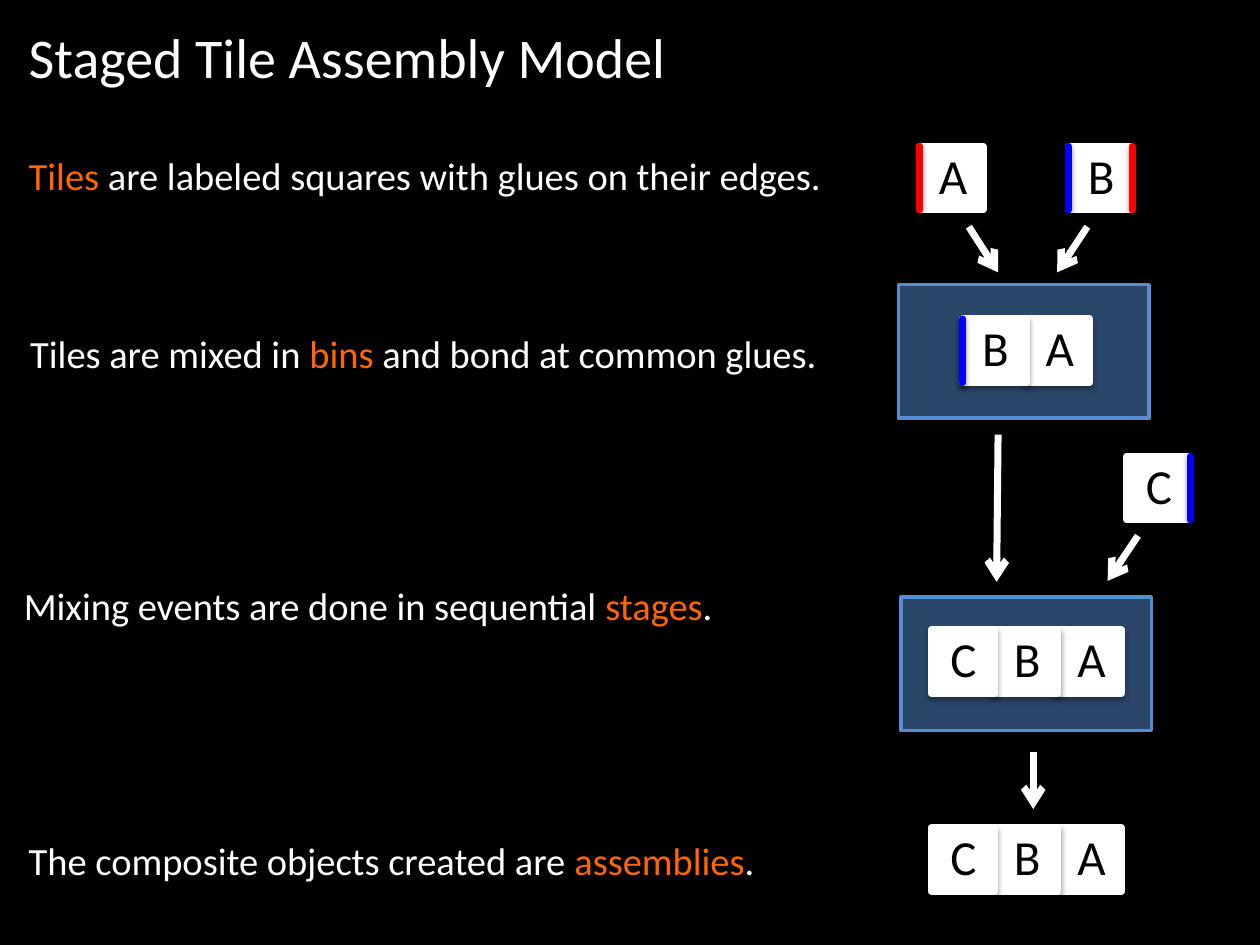
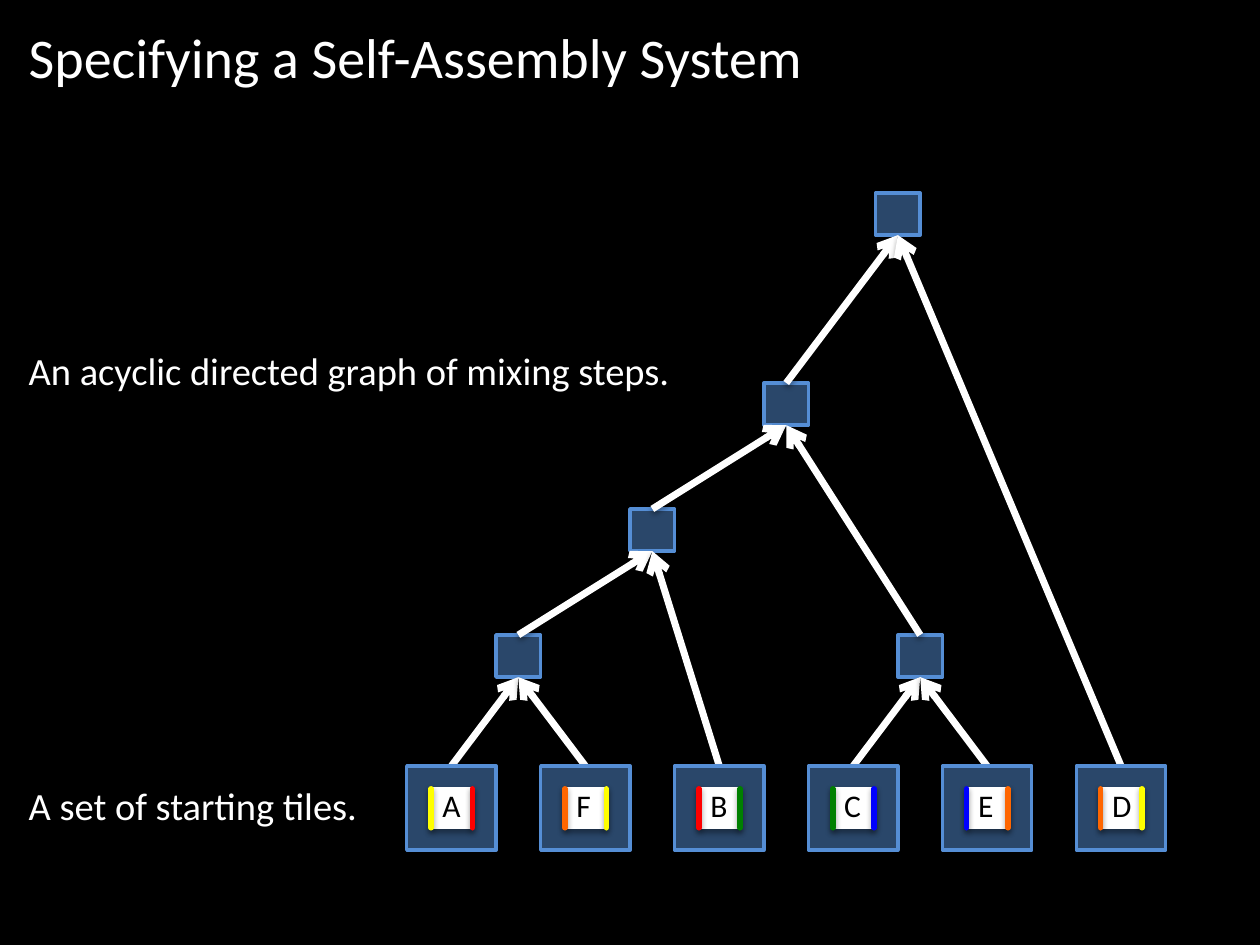
"""Build two slides on the staged tile assembly model."""
import lxml.etree
import pptx
import pptx.dml.color
import pptx.enum.shapes
import pptx.oxml.ns
import pptx.util

Cm = pptx.util.Cm
RGBColor = pptx.dml.color.RGBColor

BLACK = RGBColor(0x00, 0x00, 0x00)
WHITE = RGBColor(0xFF, 0xFF, 0xFF)
ORANGE = RGBColor(0xFF, 0x66, 0x00)
RED = RGBColor(0xFF, 0x00, 0x00)
BLUE = RGBColor(0x00, 0x00, 0xFF)
GREEN = RGBColor(0x00, 0x80, 0x00)
YELLOW = RGBColor(0xFF, 0xFF, 0x00)
BIN_BLUE = RGBColor(0x55, 0x8E, 0xD5)

FONT = "Calibri"
TILE = 1.28
SMALL_TILE = 0.83
BIN_SIZE = (5.05, 2.69)
MIX_SIZE = (0.9, 0.85)
LEAF_SIZE = (1.8, 1.7)
LEAF_LEFT, LEAF_TOP, LEAF_STEP = 8.2, 15.44, 2.7

STATEMENTS = [
    (0.33, 2.95, [("Tiles ", ORANGE), ("are labeled squares with glues on their edges.", WHITE)]),
    (0.36, 6.53, [("Tiles are mixed in ", WHITE), ("bins ", ORANGE),
                  ("and bond at common glues.", WHITE)]),
    (0.23, 11.61, [("Mixing events are done in sequential ", WHITE), ("stages", ORANGE),
                   (".", WHITE)]),
    (0.33, 16.74, [("The composite objects created are ", WHITE), ("assemblies", ORANGE),
                   (".", WHITE)]),
]
STAGE_ARROWS = [
    (19.53, 4.57, 20.12, 5.49),
    (21.92, 4.57, 21.31, 5.49),
    (20.12, 8.76, 20.09, 11.73),
    (22.94, 10.8, 22.33, 11.71),
    (20.83, 15.16, 20.83, 16.31),
]
LEAVES = [
    ("A", YELLOW, RED),
    ("F", ORANGE, YELLOW),
    ("B", RED, GREEN),
    ("C", GREEN, BLUE),
    ("E", BLUE, ORANGE),
    ("D", ORANGE, YELLOW),
]
MIXES = {
    "AF": (10.45, 12.8),
    "CE": (18.55, 12.8),
    "AFB": (13.15, 10.26),
    "AFBCE": (15.85, 7.72),
    "AFBCED": (18.1, 3.89),
}
MIX_STEPS = [
    ("A", "AF"), ("F", "AF"), ("AF", "AFB"), ("B", "AFB"), ("C", "CE"), ("E", "CE"),
    ("AFB", "AFBCE"), ("CE", "AFBCE"), ("AFBCE", "AFBCED"), ("D", "AFBCED"),
]


def add_child(parent, tag, **attributes):
    """Append a DrawingML element to a parent element."""
    return lxml.etree.SubElement(parent, pptx.oxml.ns.qn(tag), attributes)


def add_shadow(item, distance, opacity):
    """Give a shape or connector a soft shadow straight below it."""
    effects = add_child(item._element.spPr, "a:effectLst")
    shadow = add_child(effects, "a:outerShdw", blurRad="40000", dist=str(distance),
                       dir="5400000", rotWithShape="0")
    colour = add_child(shadow, "a:srgbClr", val=str(BLACK))
    add_child(colour, "a:alpha", val=str(opacity * 1000))


def add_text(page, left, top, width, height, spans, size):
    """Add a left-aligned line of text made of coloured spans."""
    box = page.shapes.add_textbox(Cm(left), Cm(top), Cm(width), Cm(height))
    box.text_frame.word_wrap = True
    paragraph = box.text_frame.paragraphs[0]
    paragraph.font.name = FONT
    paragraph.font.size = pptx.util.Pt(size)
    for text, colour in spans:
        span = paragraph.add_run()
        span.text = text
        span.font.color.rgb = colour


def add_statement(page, left, top, spans):
    """Add one explanatory sentence."""
    add_text(page, left, top, 17.4, 1.19, spans, 22)


def add_square(page, left, top, size, fill, line_width):
    """Add a shadowed rectangle whose outline matches its fill."""
    width, height = size
    square = page.shapes.add_shape(pptx.enum.shapes.MSO_SHAPE.RECTANGLE,
                                   Cm(left), Cm(top), Cm(width), Cm(height))
    square.fill.solid()
    square.fill.fore_color.rgb = fill
    square.line.color.rgb = fill
    square.line.width = pptx.util.Pt(line_width)
    add_shadow(square, 23000, 35)
    return square


def add_bin(page, left, top, size):
    """Add a half-transparent mixing bin."""
    mixing_bin = add_square(page, left, top, size, BIN_BLUE, 2)
    fill = mixing_bin._element.spPr.find(pptx.oxml.ns.qn("a:solidFill"))
    add_child(fill[0], "a:alpha", val="50000")


def add_line(page, ends, colour, width):
    """Add a shadowed straight line and return it."""
    line = page.shapes.add_connector(pptx.enum.shapes.MSO_CONNECTOR.STRAIGHT,
                                     *[Cm(end) for end in ends])
    line.line.color.rgb = colour
    line.line.width = pptx.util.Pt(width)
    add_shadow(line, 20000, 38)
    return line


def add_arrow(page, ends):
    """Add a white arrow."""
    arrow = add_line(page, ends, WHITE, 4)
    add_child(arrow.line._get_or_add_ln(), "a:tailEnd", type="arrow")


def add_glue(page, x, top, bottom, colour, width):
    """Add a round-ended glue strip on a tile edge."""
    glue = add_line(page, (x, top, x, bottom), colour, width)
    glue.line._get_or_add_ln().set("cap", "rnd")


def add_tile(page, left, top, letter, left_glue=None, right_glue=None):
    """Add a large labeled tile with optional glues."""
    add_square(page, left, top, (TILE, TILE), WHITE, 4)
    for x, glue in ((left, left_glue), (left + TILE, right_glue)):
        if glue:
            add_glue(page, x, top, top + TILE, glue, 4)
    add_text(page, left + 0.14, top - 0.15, 1.4, 1.45, [(letter, BLACK)], 28)


def add_assembly(page, left, top, letters, left_glue=None):
    """Add bonded tiles, the leftmost one in front."""
    for index in reversed(range(len(letters))):
        add_tile(page, left + index * TILE, top, letters[index],
                 left_glue if index == 0 else None)


def add_leaf(page, left, letter, left_glue, right_glue):
    """Add a bin that holds one small starting tile."""
    add_bin(page, left, LEAF_TOP, LEAF_SIZE)
    tile_left, tile_top = left + 0.49, LEAF_TOP + 0.44
    add_square(page, tile_left, tile_top, (SMALL_TILE, SMALL_TILE), WHITE, 0.75)
    for x, glue in ((tile_left, left_glue), (tile_left + SMALL_TILE, right_glue)):
        add_glue(page, x, tile_top + 0.02, tile_top + 0.81, glue, 3)
    add_text(page, tile_left - 0.02, tile_top - 0.15, 0.97, 1.02, [(letter, BLACK)], 18)


def add_page(deck, title):
    """Add a black slide with its title."""
    page = deck.slides.add_slide(deck.slide_layouts[6])
    page.background.fill.solid()
    page.background.fill.fore_color.rgb = BLACK
    add_text(page, 0.33, 0.33, 22.8, 1.63, [(title, WHITE)], 32)
    return page


def build_model_page(deck):
    """Show tiles, bins, stages and assemblies from top to bottom."""
    page = add_page(deck, "Staged Tile Assembly Model")
    for left, top, spans in STATEMENTS:
        add_statement(page, left, top, spans)
    add_tile(page, 18.54, 2.95, "A", left_glue=RED)
    add_tile(page, 21.54, 2.95, "B", left_glue=BLUE, right_glue=RED)
    add_bin(page, 18.11, 5.74, BIN_SIZE)
    add_assembly(page, 19.41, 6.43, "BA", left_glue=BLUE)
    add_tile(page, 22.71, 9.2, "C", right_glue=BLUE)
    add_bin(page, 18.16, 12.04, BIN_SIZE)
    add_assembly(page, 18.77, 12.7, "CBA")
    add_assembly(page, 18.77, 16.69, "CBA")
    for ends in STAGE_ARROWS:
        add_arrow(page, ends)


def build_graph_page(deck):
    """Show the mixing graph above its starting tiles."""
    page = add_page(deck, "Specifying a Self-Assembly System")
    add_statement(page, 0.33, 6.88, [("An acyclic directed graph of mixing steps.", WHITE)])
    add_statement(page, 0.33, 15.65, [("A set of starting tiles.", WHITE)])
    mix_width, mix_height = MIX_SIZE
    for center, top in MIXES.values():
        add_bin(page, center - mix_width / 2, top, MIX_SIZE)
    tops = dict(MIXES)
    for index, (letter, *_) in enumerate(LEAVES):
        tops[letter] = (LEAF_LEFT + index * LEAF_STEP + LEAF_SIZE[0] / 2, LEAF_TOP)
    for source, target in MIX_STEPS:
        target_x, target_top = tops[target]
        add_arrow(page, (*tops[source], target_x, target_top + mix_height))
    for index, leaf in enumerate(LEAVES):
        add_leaf(page, LEAF_LEFT + index * LEAF_STEP, *leaf)


def main():
    """Build and save the deck."""
    deck = pptx.Presentation()
    deck.slide_width, deck.slide_height = Cm(25.4), Cm(19.05)
    build_model_page(deck)
    build_graph_page(deck)
    deck.save("out.pptx")


if __name__ == "__main__":
    main()
